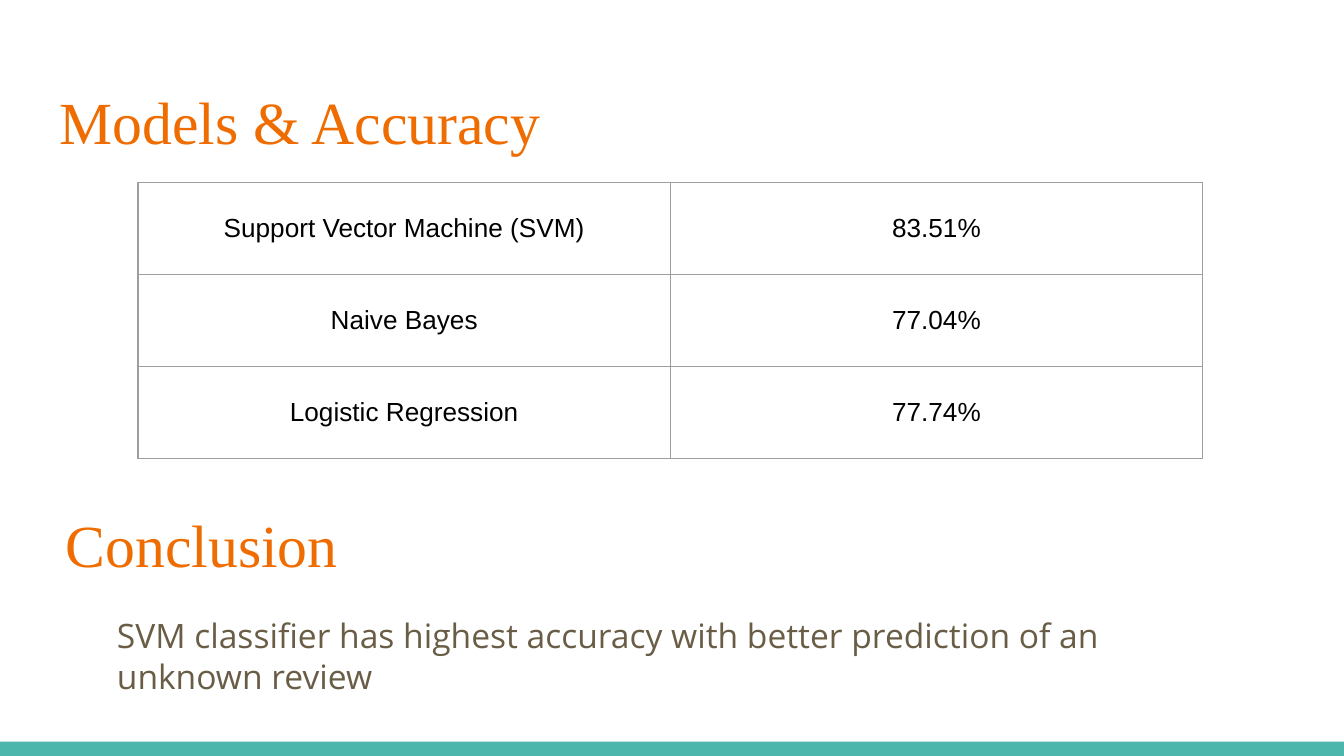
from pptx import Presentation
from pptx.dml.color import RGBColor
from pptx.enum.shapes import MSO_SHAPE
from pptx.enum.text import MSO_ANCHOR, MSO_AUTO_SIZE, PP_ALIGN
from pptx.oxml.ns import qn
from pptx.util import Cm, Pt
from lxml.etree import SubElement

ORANGE, TEAL, BROWN = "EF6C00", "4DB6AC", "695D46"
BLACK, GRAY = "000000", "9E9E9E"
INSET = Cm(0.25)
MODELS = [
    ("Support Vector Machine (SVM)", "83.51%"),
    ("Naive Bayes", "77.04%"),
    ("Logistic Regression", "77.74%"),
]


def rgb(value):
    return RGBColor.from_string(value)


def style_text(tf, text, font, size, color, align=PP_ALIGN.LEFT):
    tf.text = text
    p = tf.paragraphs[0]
    p.alignment = align
    p.space_before = Pt(0)
    p.line_spacing = 1.0
    f = p.runs[0].font
    f.name, f.size = font, Pt(size)
    f.color.rgb = rgb(color)
    return p


def fill_placeholder(sp, box, text, font, size, color, anchor):
    sp.left, sp.top, sp.width, sp.height = [Cm(v) for v in box]
    tf = sp.text_frame
    tf.word_wrap = True
    tf.auto_size = MSO_AUTO_SIZE.NONE
    tf.vertical_anchor = anchor
    tf.margin_left = tf.margin_right = tf.margin_top = tf.margin_bottom = INSET
    p = style_text(tf, text, font, size, color)
    pPr = p._p.get_or_add_pPr()
    pPr.set("marL", "0")
    pPr.set("indent", "0")
    SubElement(pPr, qn("a:buNone"))


def add_heading(sp, left, top, text):
    fill_placeholder(sp, (left, top, 23.67, 1.96), text,
                     "Times New Roman", 32, ORANGE, MSO_ANCHOR.BOTTOM)


def add_borders(cell, color, width):
    tcPr = cell._tc.get_or_add_tcPr()
    for side in ("a:lnL", "a:lnR", "a:lnT", "a:lnB"):
        ln = SubElement(tcPr, qn(side), w=str(Pt(width)))
        fill = SubElement(ln, qn("a:solidFill"))
        SubElement(fill, qn("a:srgbClr"), val=color)


def add_accuracy_table(s):
    rows, cols = len(MODELS), len(MODELS[0])
    table = s.shapes.add_table(rows, cols, Cm(2.61), Cm(3.45),
                               Cm(20.12), Cm(1.74 * rows)).table
    table.first_row = table.horz_banding = False
    for i, model in enumerate(MODELS):
        for j, text in enumerate(model):
            cell = table.cell(i, j)
            add_borders(cell, GRAY, 0.75)
            cell.fill.background()
            cell.vertical_anchor = MSO_ANCHOR.MIDDLE
            cell.margin_left = cell.margin_right = INSET
            cell.margin_top = cell.margin_bottom = INSET
            style_text(cell.text_frame, text, "Arial", 14, BLACK, PP_ALIGN.CENTER)


def add_bottom_bar(s, prs):
    height = Cm(0.27)
    bar = s.shapes.add_shape(MSO_SHAPE.RECTANGLE, 0, prs.slide_height - height,
                             prs.slide_width, height)
    bar.shadow.inherit = False
    bar.fill.solid()
    bar.fill.fore_color.rgb = rgb(TEAL)
    bar.line.fill.background()


def main():
    prs = Presentation()
    prs.slide_width, prs.slide_height = Cm(25.4), Cm(14.29)
    s = prs.slides.add_slide(prs.slide_layouts.get_by_name("Two Content"))
    title, conclusion, body = list(s.placeholders)[:3]
    add_bottom_bar(s, prs)
    add_heading(title, 0.87, 1.24, "Models & Accuracy")
    add_accuracy_table(s)
    add_heading(conclusion, 0.99, 9.25, "Conclusion")
    fill_placeholder(body, (1.96, 11.38, 21.44, 1.96),
                     "SVM classifier has highest accuracy with better "
                     "prediction of an unknown review",
                     "Open Sans", 18, BROWN, MSO_ANCHOR.TOP)
    prs.save("out.pptx")


if __name__ == "__main__":
    main()
